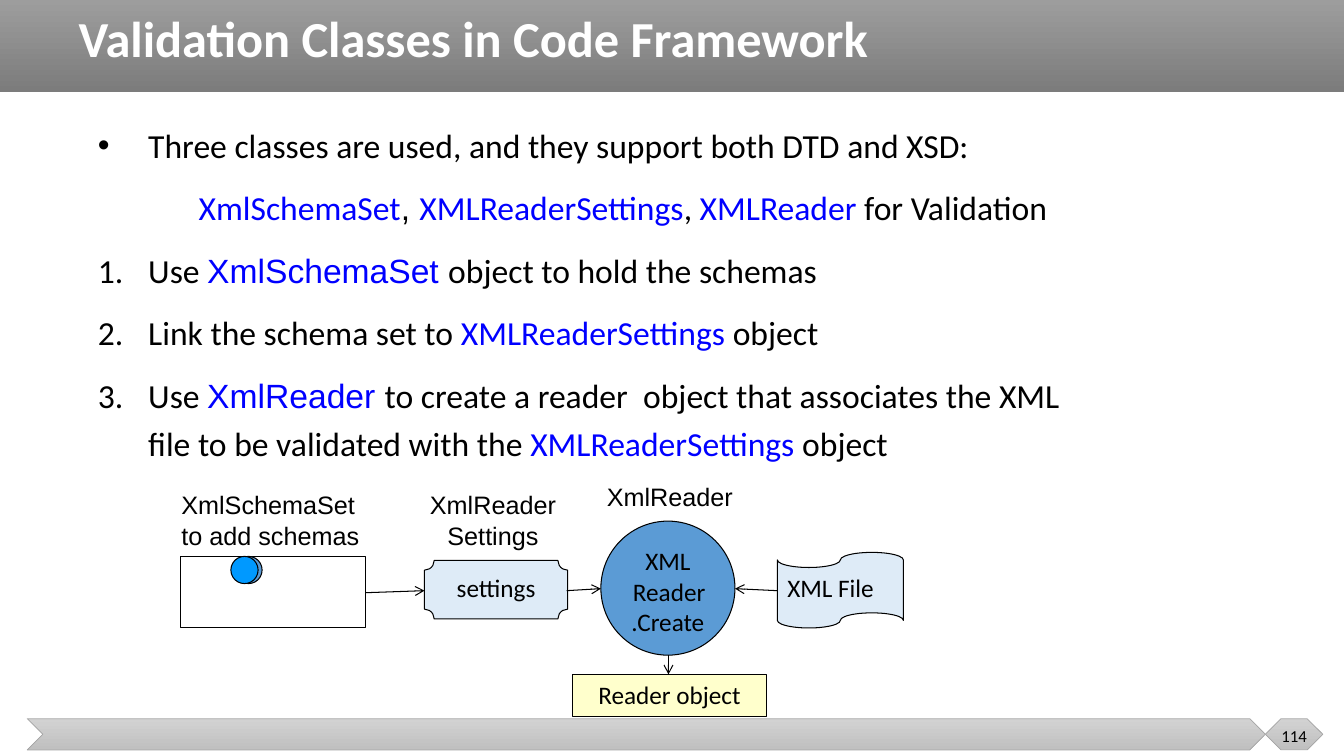
from dataclasses import dataclass
from lxml.etree import SubElement
from pptx import Presentation
from pptx.dml.color import RGBColor
from pptx.enum.shapes import MSO_CONNECTOR, MSO_SHAPE
from pptx.enum.text import MSO_ANCHOR, MSO_AUTO_SIZE, PP_ALIGN
from pptx.oxml.ns import qn
from pptx.util import Pt

PX = 9144  # EMU in one px, 100 px to the inch


@dataclass(frozen=True)
class Theme:
    ink: str = "000000"
    white: str = "FFFFFF"
    code: str = "0000FF"
    pale: str = "DEEBF7"
    blue: str = "5B9BD5"
    azure: str = "0099FF"
    cream: str = "FFFFCC"
    rim: str = "A5A5A5"
    band: tuple = ("9D9D9D", "7C7C7C")
    foot: tuple = ("D2D2D2", "C0C0C0")
    sans: str = "Calibri"
    mono: str = "Arial"
    head: int = 36
    body: int = 24
    label: int = 18
    page: int = 12


T = Theme()


def rgb(code):
    return RGBColor.from_string(code)


def text(frame, paras, size=T.label, font=T.sans, color=T.ink, bold=False,
         align=PP_ALIGN.LEFT, anchor=MSO_ANCHOR.TOP, line=None, gap=0):
    """Fill a frame; a paragraph is a list of (text, format) runs."""
    frame.word_wrap = True
    frame.auto_size = MSO_AUTO_SIZE.NONE
    frame.vertical_anchor = anchor
    for i, runs in enumerate(paras):
        para = frame.paragraphs[0] if i == 0 else frame.add_paragraph()
        para.alignment = align
        para.space_before = Pt(gap if i else 0)
        if line:
            para.line_spacing = line
        for words, look in runs:
            run = para.add_run()
            run.text = words
            run.font.size = Pt(size)
            run.font.bold = bold
            run.font.name = look.get("font", font)
            run.font.color.rgb = rgb(look.get("color", color))


def plain(*lines):
    return [[(words, {})] for words in lines]


def place(item, box):
    item.left, item.top, item.width, item.height = (v * PX for v in box)


def shape(slide, kind, box, fill, rim=T.ink, width=0.75):
    item = slide.shapes.add_shape(kind, *(v * PX for v in box))
    item.shadow.inherit = False
    if isinstance(fill, tuple):
        item.fill.gradient()
        item.fill.gradient_angle = 270
        for stop, code in zip(item.fill.gradient_stops, fill):
            stop.color.rgb = rgb(code)
    else:
        item.fill.solid()
        item.fill.fore_color.rgb = rgb(fill)
    if rim:
        item.line.color.rgb = rgb(rim)
        item.line.width = Pt(width)
    else:
        item.line.fill.background()
    return item


def label(slide, box, *lines, **look):
    item = slide.shapes.add_textbox(*(v * PX for v in box))
    text(item.text_frame, plain(*lines), **look)


def arrow(slide, *ends):
    item = slide.shapes.add_connector(MSO_CONNECTOR.STRAIGHT, *(v * PX for v in ends))
    item.line.color.rgb = rgb(T.ink)
    item.line.width = Pt(0.75)
    SubElement(item.line._get_or_add_ln(), qn("a:tailEnd"), type="arrow")
    SubElement(item._element.spPr, qn("a:effectLst"))


def bullet(para, mark, left, hang):
    props = para._p.get_or_add_pPr()
    props.set("marL", str(left * PX))
    props.set("indent", str(-hang * PX))
    if mark == "•":
        SubElement(props, qn("a:buFont"), typeface=T.mono)
        SubElement(props, qn("a:buChar"), char=mark)
    elif mark == "1.":
        SubElement(props, qn("a:buFont"), typeface=T.sans)
        SubElement(props, qn("a:buAutoNum"), type="arabicPeriod")
    else:
        SubElement(props, qn("a:buNone"))


def header(slide, box):
    x, y, w, h = box
    shape(slide, MSO_SHAPE.RECTANGLE, box, T.band, rim=None)
    title = slide.shapes.title
    place(title, (x + 68, y + 7, 1090, 68))
    text(title.text_frame, plain("Validation Classes in Code Framework"), size=T.head,
         color=T.white, bold=True, anchor=MSO_ANCHOR.MIDDLE, line=0.9)
    # The title is drawn over its band
    slide.shapes._spTree.append(title._element)


def footer(slide, box):
    x, y, w, h = box
    tip = 57
    shape(slide, MSO_SHAPE.CHEVRON, (x, y, w - tip, h), T.foot, T.rim, 0.5)
    end = shape(slide, MSO_SHAPE.HEXAGON, (x + w - tip, y, tip, h), T.foot, T.rim, 0.5)
    end.adjustments[0] = 0.5
    label(slide, (x + w - tip, y - 3, tip, 40), "114", size=T.page,
          align=PP_ALIGN.CENTER, anchor=MSO_ANCHOR.MIDDLE)


def steps(slide, box):
    code = {"color": T.code}
    mono = {"color": T.code, "font": T.mono}
    rows = [
        ("•", [("Three classes are used, and they support both DTD and XSD:", {})]),
        ("", [("XmlSchemaSet", code), (", ", {"font": T.mono}),
              ("XMLReaderSettings", code), (", ", {}),
              ("XMLReader ", code), ("for Validation", {})]),
        ("1.", [("Use ", {}), ("XmlSchemaSet ", mono),
                ("object to hold the schemas", {})]),
        ("1.", [("Link the schema set to ", {}), ("XMLReaderSettings", code),
                (" object", {})]),
        ("1.", [("Use ", {}), ("XmlReader ", mono),
                ("to create a reader  object that associates the XML file "
                 "to be validated with the ", {}),
                ("XMLReaderSettings ", code), ("object", {})]),
    ]
    body = slide.placeholders[1]
    place(body, box)
    text(body.text_frame, [runs for _, runs in rows], size=T.body, line=1.2, gap=10)
    for para, (mark, _) in zip(body.text_frame.paragraphs, rows):
        bullet(para, mark, *((50, 50) if mark else (100, 0)))


def flow(slide, box):
    x, y, w, h = box
    mid = PP_ALIGN.CENTER

    # Schema set with its two schemas
    shape(slide, MSO_SHAPE.RECTANGLE, (x + 9, y + 79, 184, 71), T.white)
    for left, fill in ((63, T.blue), (59, T.azure)):
        shape(slide, MSO_SHAPE.OVAL, (x + left, y + 79, 27, 27), fill)

    # Captions
    label(slide, (x, y + 8, 205, 71), "XmlSchemaSet", "to add schemas", font=T.mono)
    label(slide, (x + 246, y + 8, 146, 71), "XmlReader", "Settings",
          font=T.mono, align=mid)
    label(slide, (x + 422, y, 153, 40), "XmlReader", font=T.mono)

    # Nodes
    nodes = [
        (MSO_SHAPE.PLAQUE, (251, 83, 142, 58), T.pale, "settings", mid),
        (MSO_SHAPE.OVAL, (426, 44, 133, 133), T.blue, "XML Reader.Create", mid),
        (MSO_SHAPE.WAVE, (601, 75, 125, 75), T.pale, "XML File", PP_ALIGN.LEFT),
        (MSO_SHAPE.RECTANGLE, (398, 196, 192, 42), T.cream, "Reader object", mid),
    ]
    for kind, (dx, dy, wide, high), fill, words, align in nodes:
        if kind == MSO_SHAPE.WAVE:
            kind = MSO_SHAPE.FLOWCHART_PUNCHED_TAPE
        node = shape(slide, kind, (x + dx, y + dy, wide, high), fill)
        text(node.text_frame, plain(words), align=align)

    # Arrows
    for x1, y1, x2, y2 in ((193, 115, 251, 113), (392, 113, 426, 111),
                           (601, 113, 559, 111), (493, 177, 493, 196)):
        arrow(slide, x + x1, y + y1, x + x2, y + y2)


def main():
    deck = Presentation()
    deck.slide_width, deck.slide_height = 1333 * PX, 750 * PX
    slide = deck.slides.add_slide(deck.slide_layouts[1])
    header(slide, (0, 0, 1333, 91))
    footer(slide, (27, 713, 1285, 31))
    steps(slide, (87, 111, 975, 367))
    flow(slide, (170, 473, 726, 238))
    deck.save("out.pptx")


if __name__ == "__main__":
    main()
